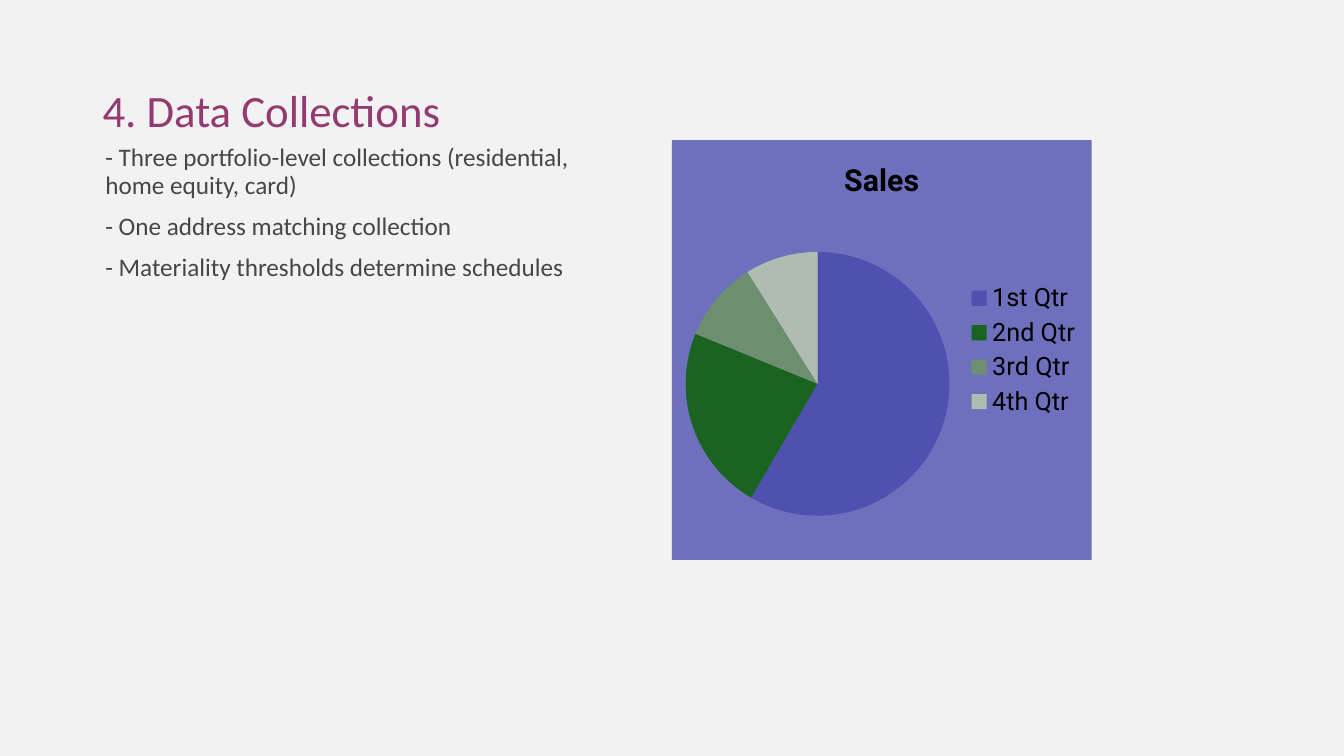
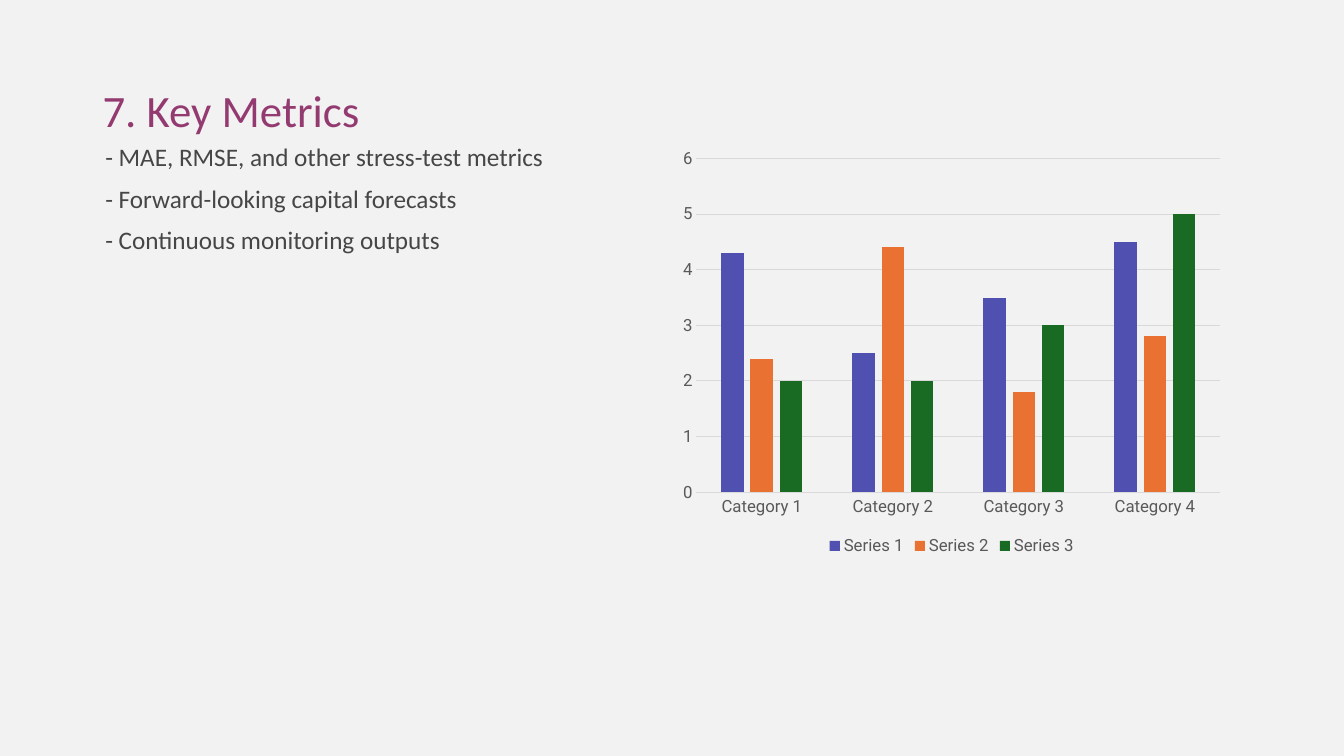
from lxml import etree
from pptx import Presentation
from pptx.chart.data import CategoryChartData
from pptx.dml.color import RGBColor
from pptx.enum.chart import XL_CHART_TYPE, XL_LEGEND_POSITION, XL_TICK_MARK
from pptx.enum.text import MSO_ANCHOR, MSO_AUTO_SIZE, PP_ALIGN
from pptx.oxml import parse_xml
from pptx.oxml.ns import nsdecls, qn
from pptx.util import Cm, Pt

PIE, COLUMN = XL_CHART_TYPE.PIE, XL_CHART_TYPE.COLUMN_CLUSTERED
LEGEND_RIGHT, LEGEND_BOTTOM = XL_LEGEND_POSITION.RIGHT, XL_LEGEND_POSITION.BOTTOM
NO_TICKS = XL_TICK_MARK.NONE
MIDDLE, TOP = MSO_ANCHOR.MIDDLE, MSO_ANCHOR.TOP
NO_AUTOFIT = MSO_AUTO_SIZE.NONE
LEFT = PP_ALIGN.LEFT

TEXT_FONT, CHART_FONT = "Calibri", "Roboto"
BACKGROUND, HEADING, BODY = "F2F2F2", "933A71", "464646"
BLACK, AXIS_TEXT, GRID = "000000", "595959", "D9D9D9"
INDIGO, ORANGE, GREEN = "4F50B0", "E97132", "196B24"
QUARTER_COLORS = [INDIGO, "196420", "6D8F70", "AFBDB1"]
SERIES_COLORS = [INDIGO, ORANGE, GREEN]

TITLE_BOX = (2.33, 1.01, 29.21, 3.68)
LIST_BOX = (1.76, 3.53, 14.11, 12.1)
CHART_LEFT, CHART_TOP, CHART_HEIGHT = 16.93, 3.53, 10.58


def rgb(code):
    """Turn a hex string into a colour."""
    return RGBColor.from_string(code)


def paint(fill, code):
    """Give a fill one solid colour."""
    fill.solid()
    fill.fore_color.rgb = rgb(code)


def set_font(font, name, size, code, bold=False):
    """Set the family, size, colour and weight of a font."""
    font.name, font.size, font.bold = name, Pt(size), bold
    font.color.rgb = rgb(code)


def place(placeholder, box):
    """Move a placeholder to a box given in centimetres."""
    placeholder.left, placeholder.top, placeholder.width, placeholder.height = map(Cm, box)


def prepare_layout(prs):
    """Set the shared background and placeholder positions."""
    paint(prs.slide_master.background.fill, BACKGROUND)
    layout = prs.slide_layouts[1]
    for placeholder, box in zip(layout.placeholders, (TITLE_BOX, LIST_BOX)):
        place(placeholder, box)
    return layout


def write_text(placeholder, lines, size, code, anchor, indent=0, before=0):
    """Fill a placeholder with left-aligned, unbulleted paragraphs."""
    frame = placeholder.text_frame
    frame.text = "\n".join(lines)
    frame.word_wrap = True
    frame.auto_size = NO_AUTOFIT
    frame.vertical_anchor = anchor
    for paragraph in frame.paragraphs:
        paragraph.alignment = LEFT
        paragraph.line_spacing = 0.9
        paragraph.space_before = Pt(before)
        set_font(paragraph.font, TEXT_FONT, size, code)
        properties = paragraph._p.get_or_add_pPr()
        properties.set("marL", str(Cm(indent)))
        properties.set("indent", "0")
        bullet = etree.Element(qn("a:buNone"))
        properties.find(qn("a:defRPr")).addprevious(bullet)


def add_content_slide(prs, layout, title, points):
    """Add a slide with a heading and a list on the left."""
    slide = prs.slides.add_slide(layout)
    write_text(slide.shapes.title, [title], 32, HEADING, MIDDLE)
    write_text(slide.placeholders[1], points, 18, BODY, TOP, indent=0.64, before=10)
    return slide


def set_chart_area(chart, fill_xml):
    """Set the fill of the whole chart area and remove its border."""
    area = parse_xml(
        f'<c:spPr {nsdecls("c", "a")}>{fill_xml}<a:ln><a:noFill/></a:ln></c:spPr>'
    )
    chart._chartSpace.find(qn("c:chart")).addnext(area)


def add_chart(slide, kind, width, categories, series, legend_position, size, code):
    """Add a chart with its legend on the right half of a slide."""
    data = CategoryChartData()
    data.categories = categories
    for name, values in series.items():
        data.add_series(name, values)
    box = map(Cm, (CHART_LEFT, CHART_TOP, width, CHART_HEIGHT))
    chart = slide.shapes.add_chart(kind, *box, data).chart
    set_font(chart.font, CHART_FONT, size, code)
    chart.has_legend = True
    chart.legend.position = legend_position
    chart.legend.include_in_layout = False
    set_font(chart.legend.font, CHART_FONT, size, code)
    return chart


def add_sales_pie(slide):
    """Add the quarterly sales pie on a translucent panel."""
    quarters = ["1st Qtr", "2nd Qtr", "3rd Qtr", "4th Qtr"]
    chart = add_chart(slide, PIE, CHART_HEIGHT, quarters,
                      {"Sales": [59, 23, 10, 9]}, LEGEND_RIGHT, 18, BLACK)
    set_chart_area(chart, f'<a:solidFill><a:srgbClr val="{INDIGO}">'
                          '<a:alpha val="80000"/></a:srgbClr></a:solidFill>')
    chart.has_title = True
    heading = chart.chart_title.text_frame
    heading.text = "Sales"
    set_font(heading.paragraphs[0].font, CHART_FONT, 21.6, BLACK, bold=True)
    plot = chart.plots[0]
    plot.vary_by_categories = True
    for index, code in enumerate(QUARTER_COLORS):
        paint(plot.series[0].points[index].format.fill, code)


def style_line(line, code):
    """Draw a thin line in one colour."""
    line.width = Pt(0.75)
    line.color.rgb = rgb(code)


def add_metrics_columns(slide):
    """Add the clustered columns with light horizontal gridlines."""
    categories = [f"Category {number}" for number in range(1, 5)]
    series = {
        "Series 1": [4.3, 2.5, 3.5, 4.5],
        "Series 2": [2.4, 4.4, 1.8, 2.8],
        "Series 3": [2, 2, 3, 5],
    }
    chart = add_chart(slide, COLUMN, 14.11, categories, series,
                      LEGEND_BOTTOM, 12, AXIS_TEXT)
    set_chart_area(chart, "<a:noFill/>")
    chart.has_title = False
    plot = chart.plots[0]
    plot.vary_by_categories = False
    plot.gap_width, plot.overlap = 219, -27
    for column, code in zip(plot.series, SERIES_COLORS):
        paint(column.format.fill, code)
    for axis in (chart.category_axis, chart.value_axis):
        axis.major_tick_mark = axis.minor_tick_mark = NO_TICKS
        set_font(axis.tick_labels.font, CHART_FONT, 12, AXIS_TEXT)
    style_line(chart.category_axis.format.line, GRID)
    scale = chart.value_axis
    scale.minimum_scale, scale.maximum_scale, scale.major_unit = 0, 6, 1
    scale.format.line.fill.background()
    scale.has_major_gridlines = True
    style_line(scale.major_gridlines.format.line, GRID)


def main():
    """Build both slides and save the presentation."""
    prs = Presentation()
    prs.slide_width, prs.slide_height = Cm(33.87), Cm(19.05)
    layout = prepare_layout(prs)
    collections_slide = add_content_slide(prs, layout, "4. Data Collections", [
        "- Three portfolio-level collections (residential, home equity, card)",
        "- One address matching collection",
        "- Materiality thresholds determine schedules",
    ])
    add_sales_pie(collections_slide)
    metrics_slide = add_content_slide(prs, layout, "7. Key Metrics", [
        "- MAE, RMSE, and other stress-test metrics",
        "- Forward-looking capital forecasts",
        "- Continuous monitoring outputs",
    ])
    add_metrics_columns(metrics_slide)
    prs.save("out.pptx")


if __name__ == "__main__":
    main()
